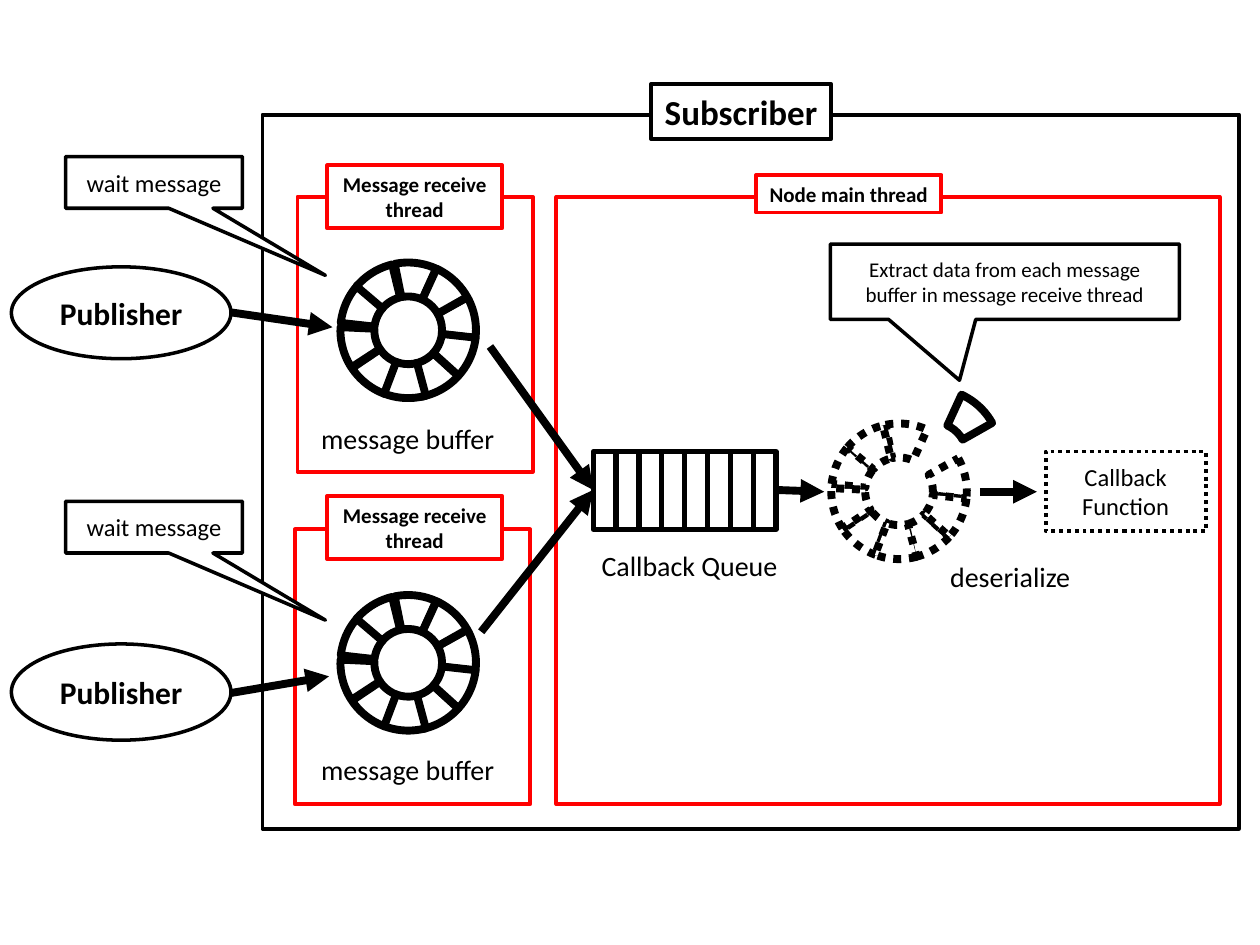
"""Draw how a subscriber's threads move messages from buffers to a callback."""
from dataclasses import dataclass
from lxml.etree import SubElement
from pptx import Presentation
from pptx.dml.color import RGBColor
from pptx.enum.dml import MSO_LINE
from pptx.enum.shapes import MSO_CONNECTOR, MSO_SHAPE
from pptx.enum.text import MSO_ANCHOR, PP_ALIGN
from pptx.oxml.ns import qn
from pptx.util import Pt


@dataclass(frozen=True)
class Theme:
    font: str = "Calibri"
    black: RGBColor = RGBColor(0, 0, 0)
    white: RGBColor = RGBColor(255, 255, 255)
    red: RGBColor = RGBColor(255, 0, 0)
    title: int = 20
    node: int = 18
    label: int = 16
    body: int = 14
    small: int = 12
    thin: float = 2
    frame: float = 2.25
    cell: float = 3
    thick: float = 4.5


def letter(shape, text, *, font, color, size, bold=False, wrap=True):
    frame = shape.text_frame
    frame.word_wrap = wrap
    frame.vertical_anchor = MSO_ANCHOR.MIDDLE
    frame.text = text
    for para in frame.paragraphs:
        para.alignment = PP_ALIGN.CENTER
        para.font.name = font
        para.font.size = Pt(size)
        para.font.bold = bold
        para.font.color.rgb = color


class Board:
    def __init__(self, slide, theme):
        self.slide = slide
        self.theme = theme

    def words(self, shape, text, size, **form):
        letter(shape, text, font=self.theme.font, color=self.theme.black,
               size=size, **form)

    def shape(self, kind, box, width, color=None, fill=True, dash=None):
        shape = self.slide.shapes.add_shape(kind, *map(Pt, box))
        shape.shadow.inherit = False
        if fill:
            shape.fill.solid()
            shape.fill.fore_color.rgb = self.theme.white
        else:
            shape.fill.background()
        shape.line.color.rgb = color or self.theme.black
        shape.line.width = Pt(width)
        if dash:
            shape.line.dash_style = dash
        return shape

    def frame(self, box, color):
        self.shape(MSO_SHAPE.RECTANGLE, box, self.theme.frame, color, fill=False)

    def badge(self, text, box, size, color):
        shape = self.shape(MSO_SHAPE.RECTANGLE, box, self.theme.frame, color)
        self.words(shape, text, size, bold=True, wrap=False)

    def oval(self, text, box):
        shape = self.shape(MSO_SHAPE.OVAL, box, self.theme.thin)
        self.words(shape, text, self.theme.node, bold=True)

    def bubble(self, text, box, size, tip):
        shape = self.shape(MSO_SHAPE.RECTANGULAR_CALLOUT, box, self.theme.thin)
        shape.adjustments[0], shape.adjustments[1] = tip
        self.words(shape, text, size)

    def label(self, text, box):
        shape = self.slide.shapes.add_textbox(*map(Pt, box))
        self.words(shape, text, self.theme.label)

    def wedge(self, left, top, turn, dash=None):
        box = (left, top, RING, RING)
        shape = self.shape(MSO_SHAPE.BLOCK_ARC, box, self.theme.thick, dash=dash)
        for index, value in enumerate((194.5, 0, 0.25)):
            shape.adjustments[index] = value
        shape.rotation = turn

    def ring(self, left, top, turns, dash=None):
        for turn in turns:
            self.wedge(left, top, turn, dash)

    def queue(self, left, top, width, height, count):
        step = width / count
        for index in range(count):
            box = (left + index * step, top, step, height)
            self.shape(MSO_SHAPE.RECTANGLE, box, self.theme.cell)

    def arrow(self, start, end):
        arrow = self.slide.shapes.add_connector(
            MSO_CONNECTOR.STRAIGHT, *map(Pt, (*start, *end)))
        arrow.line.color.rgb = self.theme.black
        arrow.line.width = Pt(self.theme.thick)
        props = arrow.element.spPr
        SubElement(props.find(qn("a:ln")), qn("a:tailEnd"), type="triangle")
        SubElement(props, qn("a:effectLst"))


RING = 77.5
TAKEN = 330.6
TURNS = (294.4, 6.8, 78.3, 146.1, 222.2, 256.3, TAKEN, 42.1, 110.8, 182.7)
DOTS = MSO_LINE.ROUND_DOT

deck = Presentation()
deck.slide_width, deck.slide_height = Pt(720), Pt(540)
theme = Theme()
board = Board(deck.slides.add_slide(deck.slide_layouts[6]), theme)

board.frame((318, 112.5, 379, 347), theme.red)
for left, top in ((168.5, 302.5), (170, 112.5)):
    board.frame((left, top, 134.5, 157), theme.red)
for top in (340, 150):
    board.ring(194.5, top, TURNS)
for top, height in ((152.5, 52.5), (368, 55)):
    board.oval("Publisher", (6.5, top, 125.5, height))

inlet = (339, 280)
for start, end in (
    ((132, 178.5), (190, 187)),
    ((132, 396), (188, 386.5)),
    ((280, 198), inlet),
    ((275, 361), inlet),
    ((560, 281), (592.5, 281)),
):
    board.arrow(start, end)

call = board.shape(MSO_SHAPE.RECTANGLE, (597.5, 258, 91.5, 45.5), theme.frame,
                   dash=DOTS)
board.words(call, "Callback\nFunction", theme.body)
board.frame((150, 65.5, 558, 408), theme.black)
board.badge("Subscriber", (372, 48, 103, 31.5), theme.title, theme.black)

board.queue(339, 258, 104.5, 44.5, 8)
board.label("Callback Queue", (328.5, 309, 131, 28))
board.bubble("Extract data from each message buffer in message receive thread",
             (474.5, 139.5, 199.5, 43), theme.small, (-0.13, 1.31))
board.arrow((443.5, 280), (471, 281))
board.ring(475, 242, [turn for turn in TURNS if turn != TAKEN], DOTS)
board.wedge(494.5, 222, TAKEN)

for top in (286.5, 89.5):
    board.bubble("wait message", (37.5, top, 101, 29.5), theme.body, (0.97, 1.8))
for top in (94.5, 283.5):
    board.badge("Message receive\nthread", (187, top, 100, 36), theme.small,
                theme.red)
board.badge("Node main thread", (432, 100, 106, 21.5), theme.small, theme.red)
for top in (228, 417):
    board.label("message buffer", (162, top, 142, 45.5))
board.label("deserialize", (528, 315.5, 98.5, 28))

deck.save("out.pptx")
